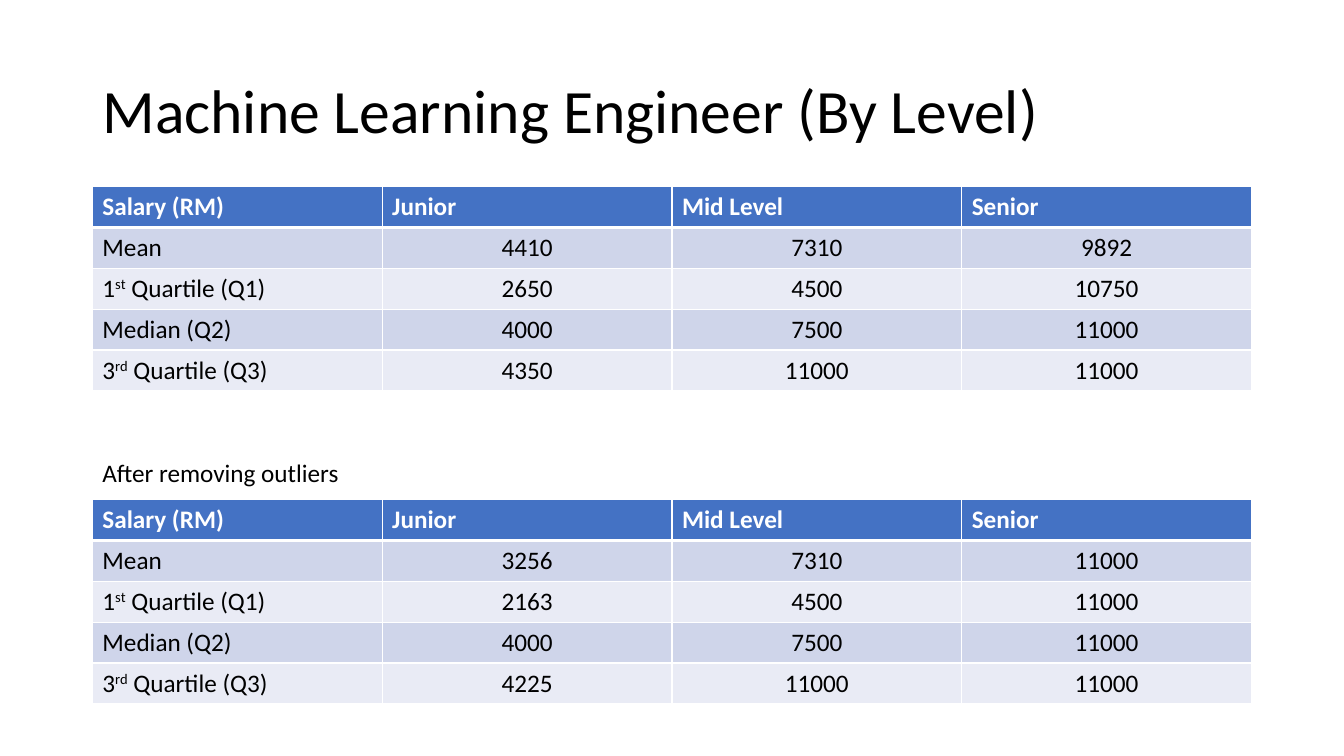
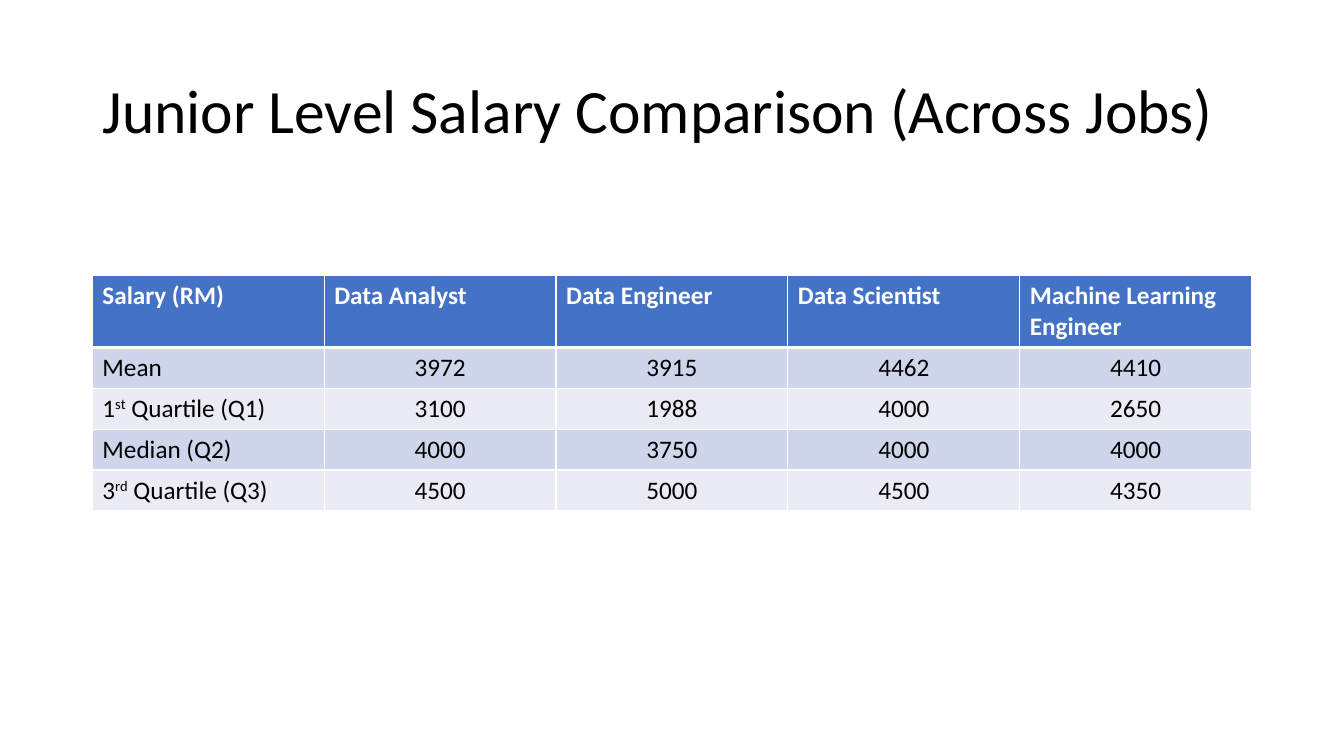
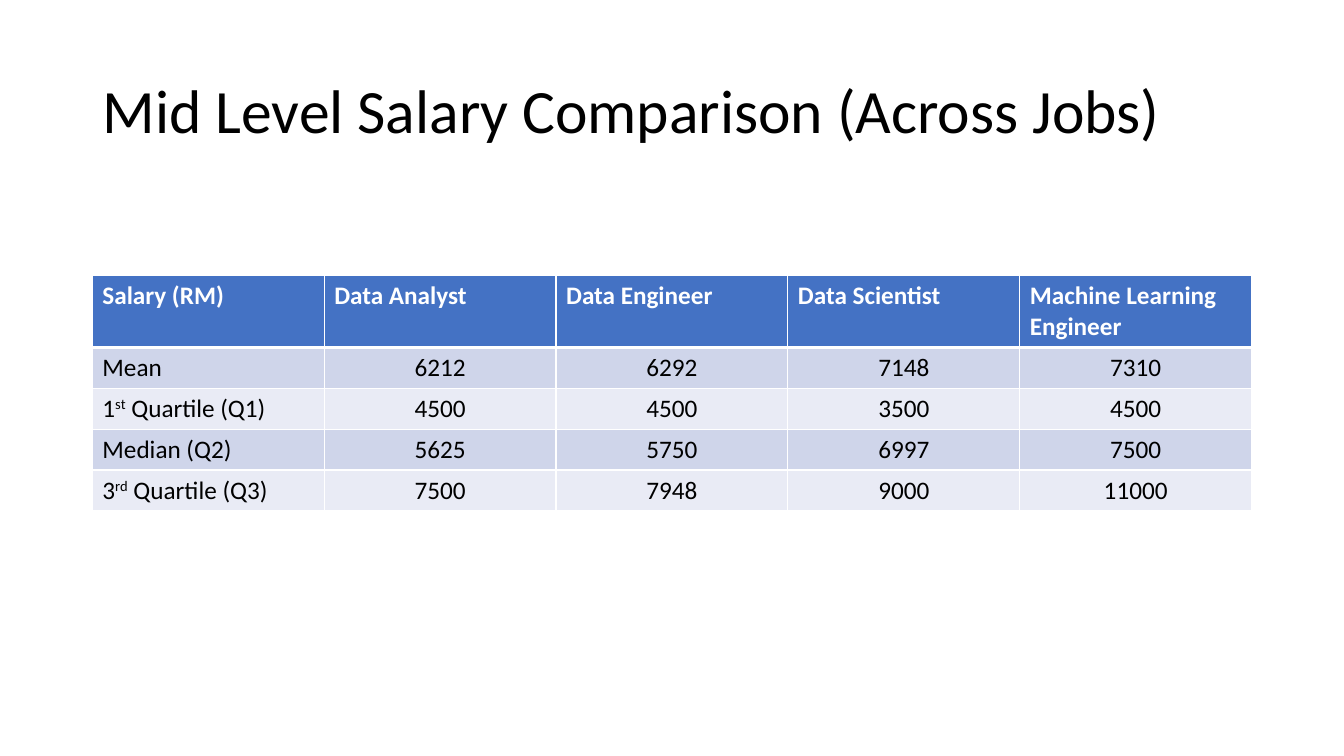
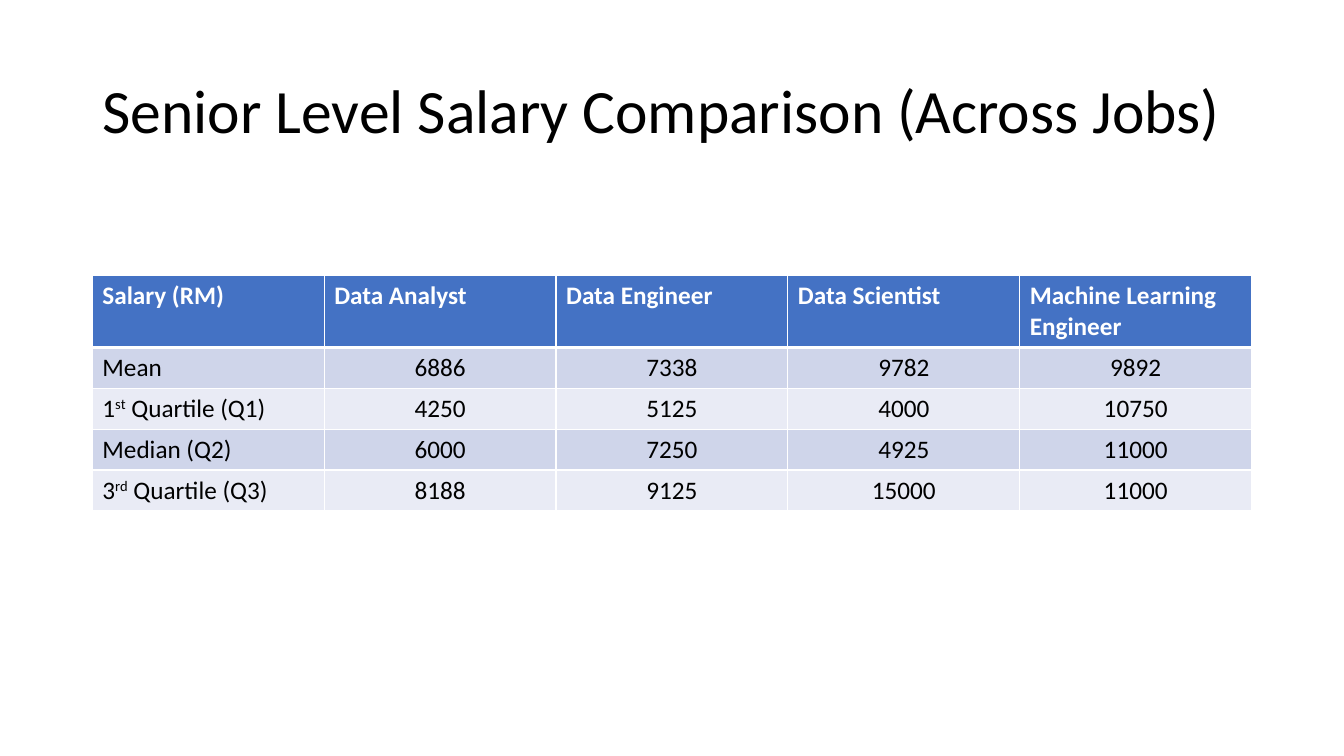
from lxml import etree
from pptx import Presentation
from pptx.dml.color import RGBColor
from pptx.enum import text as kinds
from pptx.oxml import ns
from pptx.util import Pt

FONT = "Calibri"
BLACK, WHITE, BLUE = "000000", "FFFFFF", "4472C4"
BANDS = "CFD5EA", "E9EBF5"
LEFT, WIDE = 66, 828
ROW, TALL = 29.2, 51.1  # row height with one and two lines of text

# A label's second part is raised.
STATS = [("Mean",), ("1", "st", " Quartile (Q1)"),
         ("Median (Q2)",), ("3", "rd", " Quartile (Q3)")]
LEVELS = ["Junior", "Mid Level", "Senior"]
JOBS = ["Data Analyst", "Data Engineer", "Data Scientist",
        "Machine Learning Engineer"]

# Each table: top, header height, column heads, rows of values
SLIDES = [
    ("Machine Learning Engineer (By Level)", [
        (133.2, ROW, LEVELS, [(4410, 7310, 9892),
                              (2650, 4500, 10750),
                              (4000, 7500, 11000),
                              (4350, 11000, 11000)]),
        (356.8, ROW, LEVELS, [(3256, 7310, 11000),
                              (2163, 4500, 11000),
                              (4000, 7500, 11000),
                              (4225, 11000, 11000)])],
     "After removing outliers"),
    ("Junior Level Salary Comparison (Across Jobs)", [
        (197, TALL, JOBS, [(3972, 3915, 4462, 4410),
                           (3100, 1988, 4000, 2650),
                           (4000, 3750, 4000, 4000),
                           (4500, 5000, 4500, 4350)])], None),
    ("Mid Level Salary Comparison (Across Jobs)", [
        (197, TALL, JOBS, [(6212, 6292, 7148, 7310),
                           (4500, 4500, 3500, 4500),
                           (5625, 5750, 6997, 7500),
                           (7500, 7948, 9000, 11000)])], None),
    ("Senior Level Salary Comparison (Across Jobs)", [
        (197, TALL, JOBS, [(6886, 7338, 9782, 9892),
                           (4250, 5125, 4000, 10750),
                           (6000, 7250, 4925, 11000),
                           (8188, 9125, 15000, 11000)])], None),
]


def place(shape, left, top, width, height):
    shape.left, shape.top = Pt(left), Pt(top)
    shape.width, shape.height = Pt(width), Pt(height)


def color(hue):
    return RGBColor.from_string(hue)


def style(para, size, hue=BLACK, bold=False, align=kinds.PP_ALIGN.LEFT):
    para.alignment = align
    for run in para.runs:
        font = run.font
        font.name, font.size, font.bold = FONT, Pt(size), bold
        font.color.rgb = color(hue)


def edge(cell, top, bottom):
    """Draw white borders; they must come before the fill in the cell."""
    props = cell._tc.get_or_add_tcPr()
    sides = [("lnL", 1), ("lnR", 1), ("lnT", top), ("lnB", bottom)]
    for spot, (tag, width) in enumerate(sides):
        line = etree.Element(ns.qn("a:" + tag), w=str(Pt(width)))
        fill = etree.SubElement(line, ns.qn("a:solidFill"))
        etree.SubElement(fill, ns.qn("a:srgbClr"), val=WHITE)
        props.insert(spot, line)


def add_grid(slide, top, head, names, values):
    rows = [[("Salary (RM)",)] + [(name,) for name in names]]
    rows += [[stat] + [(str(num),) for num in nums]
             for stat, nums in zip(STATS, values)]
    count = len(rows[0])
    high = head + ROW * len(values)
    grid = slide.shapes.add_table(len(rows), count, Pt(LEFT), Pt(top),
                                  Pt(WIDE), Pt(high)).table
    for col in grid.columns:
        col.width = Pt(WIDE / count)
    for r, row in enumerate(rows):
        grid.rows[r].height = Pt(ROW if r else head)
        for c, parts in enumerate(row):
            cell = grid.cell(r, c)
            cell.fill.solid()
            cell.fill.fore_color.rgb = color(BANDS[(r - 1) % 2] if r else BLUE)
            edge(cell, 3 if r == 1 else 1, 1 if r else 3)
            para = cell.text_frame.paragraphs[0]
            for spot, part in enumerate(parts):
                run = para.add_run()
                run.text = part
                if spot == 1:
                    run._r.get_or_add_rPr().set("baseline", "30000")
            mid = r and c
            style(para, 18, BLACK if r else WHITE, not r,
                  kinds.PP_ALIGN.CENTER if mid else kinds.PP_ALIGN.LEFT)


def add_note(slide, words):
    box = slide.shapes.add_textbox(Pt(LEFT), Pt(323.3), Pt(186), Pt(29))
    box.text_frame.word_wrap = False
    box.text_frame.text = words
    style(box.text_frame.paragraphs[0], 18)


def add_title(slide, words):
    frame = slide.shapes.title.text_frame
    frame.text = words
    frame.auto_size = kinds.MSO_AUTO_SIZE.NONE
    frame.vertical_anchor = kinds.MSO_ANCHOR.MIDDLE
    para = frame.paragraphs[0]
    para.line_spacing = 0.9
    style(para, 44)


def main():
    deck = Presentation()
    deck.slide_width, deck.slide_height = Pt(960), Pt(540)
    layout = deck.slide_layouts.get_by_name("Title Only")
    place(layout.placeholders[0], LEFT, 28.8, WIDE, 104.4)
    for title, grids, note in SLIDES:
        slide = deck.slides.add_slide(layout)
        add_title(slide, title)
        for grid in grids:
            add_grid(slide, *grid)
        if note:
            add_note(slide, note)
    deck.save("out.pptx")


if __name__ == "__main__":
    main()
